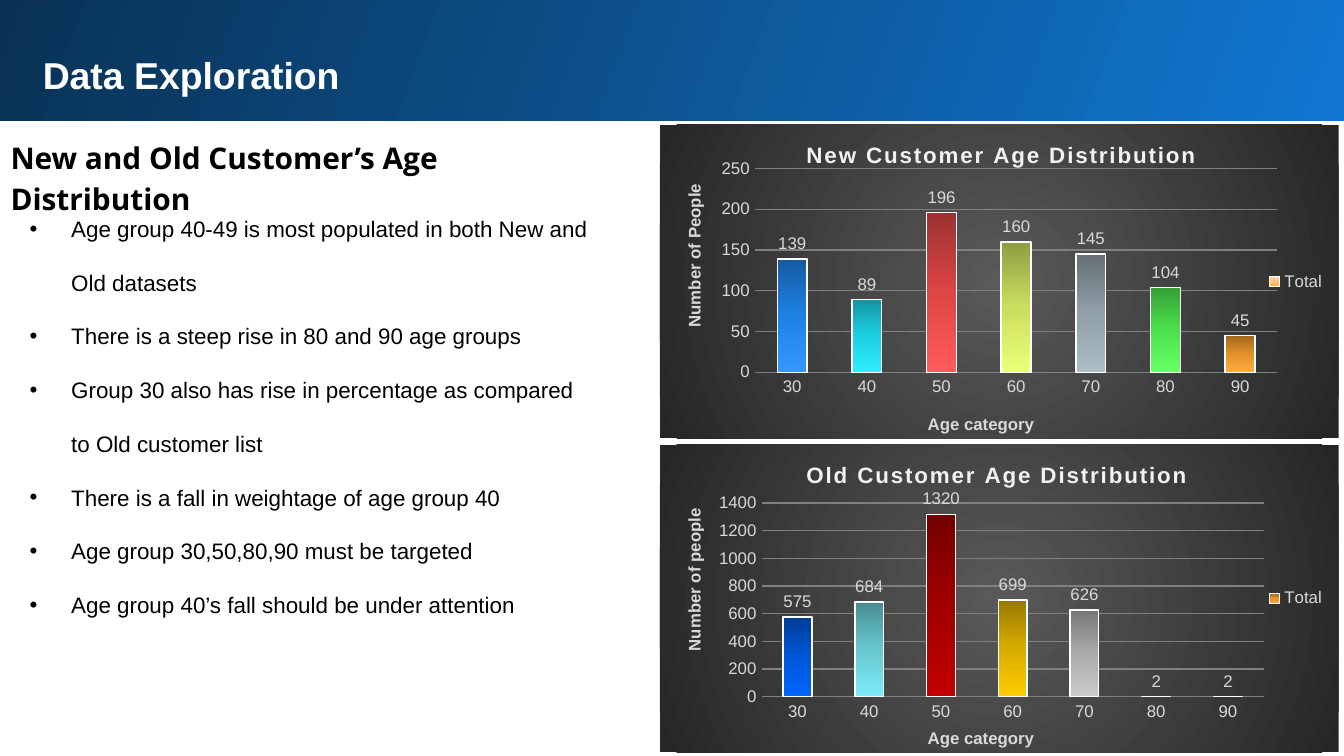
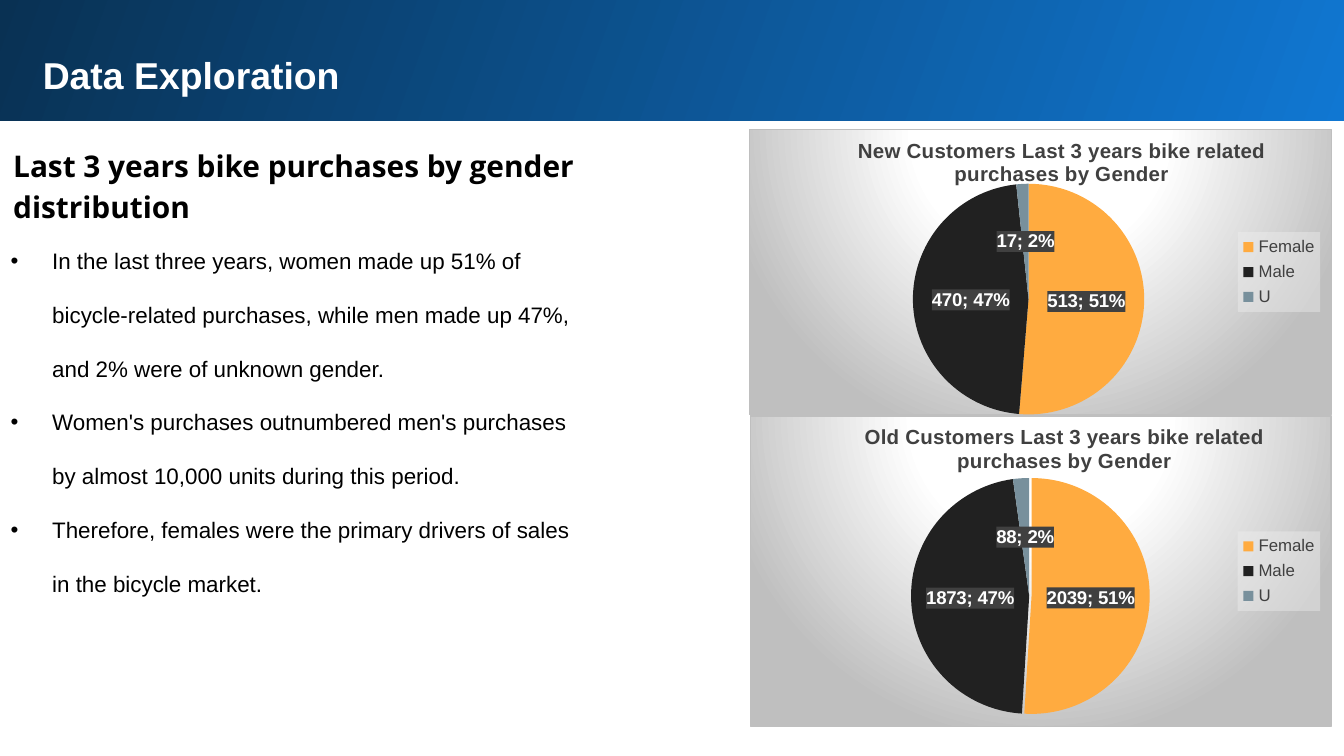
"""Builds two data exploration slides with customer age and gender charts."""
from collections import namedtuple
from dataclasses import dataclass

from pptx import Presentation
from pptx.chart.data import CategoryChartData
from pptx.dml.color import RGBColor
from pptx.enum.chart import XL_CHART_TYPE, XL_LABEL_POSITION, XL_LEGEND_POSITION, XL_TICK_MARK
from pptx.enum.shapes import MSO_SHAPE
from pptx.enum.text import MSO_AUTO_SIZE
from pptx.oxml import parse_xml
from pptx.oxml.ns import nsdecls, qn
from pptx.util import Inches, Pt

COLUMN = XL_CHART_TYPE.COLUMN_CLUSTERED
PIE = XL_CHART_TYPE.PIE
LABEL_OUTSIDE = XL_LABEL_POSITION.OUTSIDE_END
LABEL_CENTER = XL_LABEL_POSITION.CENTER
LEGEND_RIGHT = XL_LEGEND_POSITION.RIGHT
NO_TICK = XL_TICK_MARK.NONE
RECTANGLE = MSO_SHAPE.RECTANGLE
GROW = MSO_AUTO_SIZE.SHAPE_TO_FIT_TEXT

Gradient = namedtuple("Gradient", "colors angle focus positions", defaults=(90, None, None))


@dataclass(frozen=True)
class Theme:
    """Colours, fonts and type sizes of the deck."""
    font: str = "Arial"
    heading_font: str = "Open Sans"
    white: str = "FFFFFF"
    black: str = "000000"
    dark_text: str = "404040"
    light_text: str = "D9D9D9"
    column_title: str = "F2F2F2"
    grid: str = "808080"
    border: str = "BFBFBF"
    legend_panel: str = "F2F2F2"
    title_size: float = 20
    heading_size: float = 16
    body_size: float = 12
    column_title_size: float = 12
    pie_title_size: float = 11
    label_size: float = 10
    axis_size: float = 9
    hairline: float = 0.75
    band: Gradient = Gradient(("1077D2", "093153"), 200)
    column_panel: Gradient = Gradient(("595959", "262626"), focus=(50, 50, 50, 50))
    pie_panel: Gradient = Gradient(("FFFFFF", "FFFFFF", "BFBFBF"), focus=(50, -80, 50, 180),
                                   positions=(0, 39, 100))
    pie_colors: tuple = ("FFAB40", "212121", "78909C")


THEME = Theme()
AGES = ("30", "40", "50", "60", "70", "80", "90")
GENDERS = ("Female", "Male", "U")
ORANGE = Gradient(("A0661D", "E3922A", "FFAB40"))
NEW_AGE_FILLS = (
    Gradient(("155BA0", "1E81E4", "3399FF")),
    Gradient(("1493A0", "1CD1E4", "31EBFF")),
    Gradient(("9C3131", "DD4646", "FF5B5B")),
    Gradient(("8F9C42", "CCDE5E", "ECFF79")),
    Gradient(("667075", "919FA6", "ACBDC5")),
    Gradient(("369E36", "4CE14C", "66FF66")),
    ORANGE,
)
OLD_AGE_FILLS = (
    Gradient(("003C97", "0056D7", "0066FF")),
    Gradient(("498C92", "68C7D0", "7BECF7")),
    Gradient(("720000", "A20000", "C00000")),
    Gradient(("977900", "D7AC00", "FFCC00")),
    Gradient(("787878", "AAAAAA", "CACACA")),
    "66FF66",
    "FFFF00",
)


def fill_xml(fill, alpha=100):
    """Return the XML of a solid colour or a gradient."""
    if isinstance(fill, str):
        return (f'<a:solidFill {nsdecls("a")}><a:srgbClr val="{fill}">'
                f'<a:alpha val="{alpha * 1000}"/></a:srgbClr></a:solidFill>')
    last = len(fill.colors) - 1
    positions = fill.positions or [100 * i // last for i in range(last + 1)]
    stops = "".join(f'<a:gs pos="{position * 1000}"><a:srgbClr val="{color}"/></a:gs>'
                    for position, color in zip(positions, fill.colors))
    if fill.focus:
        edges = " ".join(f'{side}="{value * 1000}"' for side, value in zip("ltrb", fill.focus))
        direction = f'<a:path path="circle"><a:fillToRect {edges}/></a:path>'
    else:
        direction = f'<a:lin ang="{fill.angle * 60000}" scaled="0"/>'
    return (f'<a:gradFill {nsdecls("a")} rotWithShape="1"><a:gsLst>{stops}</a:gsLst>'
            f'{direction}</a:gradFill>')


def panel_properties(fill, alpha=100, border=None):
    """Return chart shape properties with a fill and an optional border."""
    if border:
        line = f'<a:ln w="{Pt(THEME.hairline)}">{fill_xml(border)}</a:ln>'
    else:
        line = "<a:ln><a:noFill/></a:ln>"
    return parse_xml(f'<c:spPr {nsdecls("c", "a")}>{fill_xml(fill, alpha)}{line}</c:spPr>')


def paint(properties, fill):
    """Replace the solid fill of a shape properties element."""
    solid = properties.find(qn("a:solidFill"))
    properties.replace(solid, parse_xml(fill_xml(fill)))


def set_font(font, size, color, bold=False, name=THEME.font):
    """Format a font."""
    font.size, font.bold, font.name = Pt(size), bold, name
    font.color.rgb = RGBColor.from_string(color)


def write(para, text, size, color, bold=False, name=THEME.font, spacing=0):
    """Add formatted text to a paragraph."""
    span = para.add_run()
    span.text = text
    set_font(span.font, size, color, bold, name)
    if spacing:
        span._r.get_or_add_rPr().set("spc", str(int(spacing * 100)))


def add_text(page, frame, lines, line_spacing=1.0, inset=0.1, bullet=False, **style):
    """Add a text box with one paragraph a line."""
    box = page.shapes.add_textbox(*map(Inches, frame))
    body = box.text_frame
    body.word_wrap = True
    body.auto_size = GROW
    body.margin_left = body.margin_right = body.margin_top = body.margin_bottom = Inches(inset)
    for index, line in enumerate(lines):
        para = body.add_paragraph() if index else body.paragraphs[0]
        para.line_spacing = line_spacing
        write(para, line, **style)
        if bullet:
            properties = para._p.get_or_add_pPr()
            properties.set("marL", str(Inches(0.31)))
            properties.set("indent", str(-Inches(0.31)))
            properties.append(parse_xml(f'<a:buFont {nsdecls("a")} typeface="Arial"/>'))
            properties.append(parse_xml(f'<a:buChar {nsdecls("a")} char="•"/>'))


def add_page(deck, heading, heading_frame):
    """Add a page with the title band and a heading."""
    page = deck.slides.add_slide(deck.slide_layouts[6])
    band = page.shapes.add_shape(RECTANGLE, *map(Inches, (-0.02, -0.02, 10.05, 0.92)))
    band.shadow.inherit = False
    band.line.fill.background()
    band.fill.solid()
    paint(band.element.spPr, THEME.band)
    add_text(page, (0.22, 0.29, 9.37, 0.51), ["Data Exploration"],
             size=THEME.title_size, color=THEME.white, bold=True)
    add_text(page, heading_frame, [heading], line_spacing=1.15, size=THEME.heading_size,
             color=THEME.black, bold=True, name=THEME.heading_font)
    return page


def set_layout(parent, index, frame, inner=False):
    """Place a chart part at fractions of the chart area."""
    for old in parent.findall(qn("c:layout")):
        parent.remove(old)
    target = '<c:layoutTarget val="inner"/>' if inner else ""
    modes = '<c:xMode val="edge"/><c:yMode val="edge"/>'
    sizes = "".join(f'<c:{key} val="{value}"/>' for key, value in zip("xywh", frame))
    parent.insert(index, parse_xml(f'<c:layout {nsdecls("c")}><c:manualLayout>{target}{modes}'
                                   f'{sizes}</c:manualLayout></c:layout>'))


def set_title(title, text, corner, **style):
    """Write a chart or axis title and place its top left corner."""
    write(title.text_frame.paragraphs[0], text, bold=True, **style)
    set_layout(title.element, 1, corner)


def add_chart(page, kind, frame, plot_frame, series_name, categories, values, panel,
              text_color, border=None):
    """Add a chart with a filled panel, a legend and a fixed plot area."""
    data = CategoryChartData()
    data.categories = categories
    data.add_series(series_name, values)
    chart = page.shapes.add_chart(kind, *map(Inches, frame), data).chart
    set_font(chart.font, THEME.label_size, THEME.black)
    chart.element.find(qn("c:chart")).addnext(panel_properties(panel, border=border))
    set_layout(chart.element.xpath(".//c:plotArea")[0], 0, plot_frame, inner=True)
    chart.has_title = True
    chart.has_legend = True
    chart.legend.position = LEGEND_RIGHT
    chart.legend.include_in_layout = False
    set_font(chart.legend.font, THEME.axis_size, text_color)
    return chart


def paint_points(chart, fills, line=None):
    """Give each data point its own fill and outline."""
    points = chart.plots[0].series[0].points
    for index, fill in enumerate(fills):
        look = points[index].format
        look.fill.solid()
        if line:
            look.line.color.rgb = RGBColor.from_string(line)
            look.line.width = Pt(THEME.hairline)
        else:
            look.line.fill.background()
    for properties, fill in zip(chart.element.xpath(".//c:dPt/c:spPr"), fills):
        paint(properties, fill)


def style_axis(axis, title, corner):
    """Format an axis without line and ticks and give it a title."""
    axis.major_tick_mark = axis.minor_tick_mark = NO_TICK
    axis.format.line.fill.background()
    set_font(axis.tick_labels.font, THEME.axis_size, THEME.light_text)
    axis.has_title = True
    set_title(axis.axis_title, title, corner, size=THEME.axis_size, color=THEME.light_text)


def add_age_chart(page, frame, plot_frame, title, value_title, value_title_top, values, fills,
                  series_fill, top, step):
    """Add a column chart of people by age category."""
    chart = add_chart(page, COLUMN, frame, plot_frame, "Total", AGES, values,
                      THEME.column_panel, THEME.light_text)
    set_title(chart.chart_title, title, (0.21, 0.04), size=THEME.column_title_size,
              color=THEME.column_title, spacing=1)
    style_axis(chart.category_axis, "Age category", (0.39, 0.91))
    axis = chart.value_axis
    style_axis(axis, value_title, (0.03, value_title_top))
    axis.axis_title.element.xpath(".//a:bodyPr")[0].set("rot", "-5400000")
    axis.minimum_scale, axis.maximum_scale, axis.major_unit = 0, top, step
    axis.major_gridlines.format.line.color.rgb = RGBColor.from_string(THEME.grid)
    axis.major_gridlines.format.line.width = Pt(THEME.hairline)
    plot = chart.plots[0]
    plot.gap_width = 150
    plot.vary_by_categories = False
    series = plot.series[0]
    series.format.fill.solid()
    series.format.line.color.rgb = RGBColor.from_string(THEME.white)
    series.format.line.width = Pt(THEME.hairline)
    paint(chart.element.xpath(".//c:ser/c:spPr")[0], series_fill)
    paint_points(chart, fills, THEME.white)
    labels = series.data_labels
    labels.show_value = True
    labels.position = LABEL_OUTSIDE
    set_font(labels.font, THEME.axis_size, THEME.light_text)


def add_gender_chart(page, frame, plot_frame, title, title_left, values, explosion=0):
    """Add a pie chart of purchases by gender."""
    chart = add_chart(page, PIE, frame, plot_frame, "Series 1", GENDERS, values,
                      THEME.pie_panel, THEME.dark_text, THEME.border)
    set_title(chart.chart_title, title, (title_left, 0.01), size=THEME.pie_title_size,
              color=THEME.dark_text)
    chart.plots[0].vary_by_categories = True
    paint_points(chart, THEME.pie_colors)
    if explosion:
        first = chart.element.xpath(".//c:dPt/c:spPr")[0]
        first.addprevious(parse_xml(f'<c:explosion {nsdecls("c")} val="{explosion}"/>'))
    labels = chart.plots[0].series[0].data_labels
    labels.show_value = labels.show_percentage = True
    labels.position = LABEL_CENTER
    set_font(labels.font, THEME.label_size, THEME.white, bold=True)
    chart.element.xpath(".//c:dLbls/c:txPr")[0].addprevious(panel_properties(THEME.dark_text))
    chart.element.xpath(".//c:dLbls/c:showBubbleSize")[0].addnext(
        parse_xml(f'<c:separator {nsdecls("c")}>; </c:separator>'))
    chart.element.xpath(".//c:legend/c:txPr")[0].addprevious(
        panel_properties(THEME.legend_panel, alpha=39))


def main():
    """Build and save the deck."""
    deck = Presentation()
    deck.slide_width, deck.slide_height = Inches(10), Inches(10 * 9 / 16)
    bullets = dict(line_spacing=2.0, bullet=True, size=THEME.body_size, color=THEME.black)

    page = add_page(deck, "New and Old Customer’s Age Distribution", (-0.02, 0.9, 4.68, 0.51))
    add_age_chart(page, (4.91, 0.93, 5.05, 2.34), (0.14, 0.14, 0.77, 0.65),
                  "New Customer Age Distribution", "Number of People", 0.18,
                  (139, 89, 196, 160, 145, 104, 45), NEW_AGE_FILLS,
                  Gradient(("FFAB40", "FFDAC0"), 270), 250, 50)
    add_age_chart(page, (4.91, 3.31, 5.05, 2.3), (0.15, 0.19, 0.74, 0.63),
                  "Old Customer Age Distribution", "Number of people", 0.2,
                  (575, 684, 1320, 699, 626, 2, 2), OLD_AGE_FILLS, ORANGE, 1400, 200)
    add_text(page, (0.17, 1.35, 4.31, 3.53), [
        "Age group 40-49 is most populated in both New and Old datasets",
        "There is a steep rise in 80 and 90 age groups",
        "Group 30 also has rise in percentage as compared to Old customer list",
        "There is a fall in weightage of age group 40",
        "Age group 30,50,80,90 must be targeted",
        "Age group 40’s fall should be under attention",
    ], inset=0.05, **bullets)

    page = add_page(deck, "Last 3 years bike purchases by gender distribution",
                    (0, 0.96, 5.58, 0.51))
    add_text(page, (-0.02, 1.54, 4.52, 3.03), [
        "In the last three years, women made up 51% of bicycle-related purchases, "
        "while men made up 47%, and 2% were of unknown gender.",
        "Women's purchases outnumbered men's purchases by almost 10,000 units during this period.",
        "Therefore, females were the primary drivers of sales in the bicycle market.",
    ], **bullets)
    title = "{} Customers Last 3 years bike related purchases by Gender"
    add_gender_chart(page, (5.58, 3.09, 4.33, 2.32), (0.24, 0.2, 0.48, 0.76),
                     title.format("Old"), 0.19, (2039, 1873, 88), explosion=2)
    add_gender_chart(page, (5.57, 0.96, 4.34, 2.13), (0.28, 0.19, 0.4, 0.81),
                     title.format("New"), 0.18, (513, 470, 17))
    deck.save("out.pptx")


if __name__ == "__main__":
    main()
